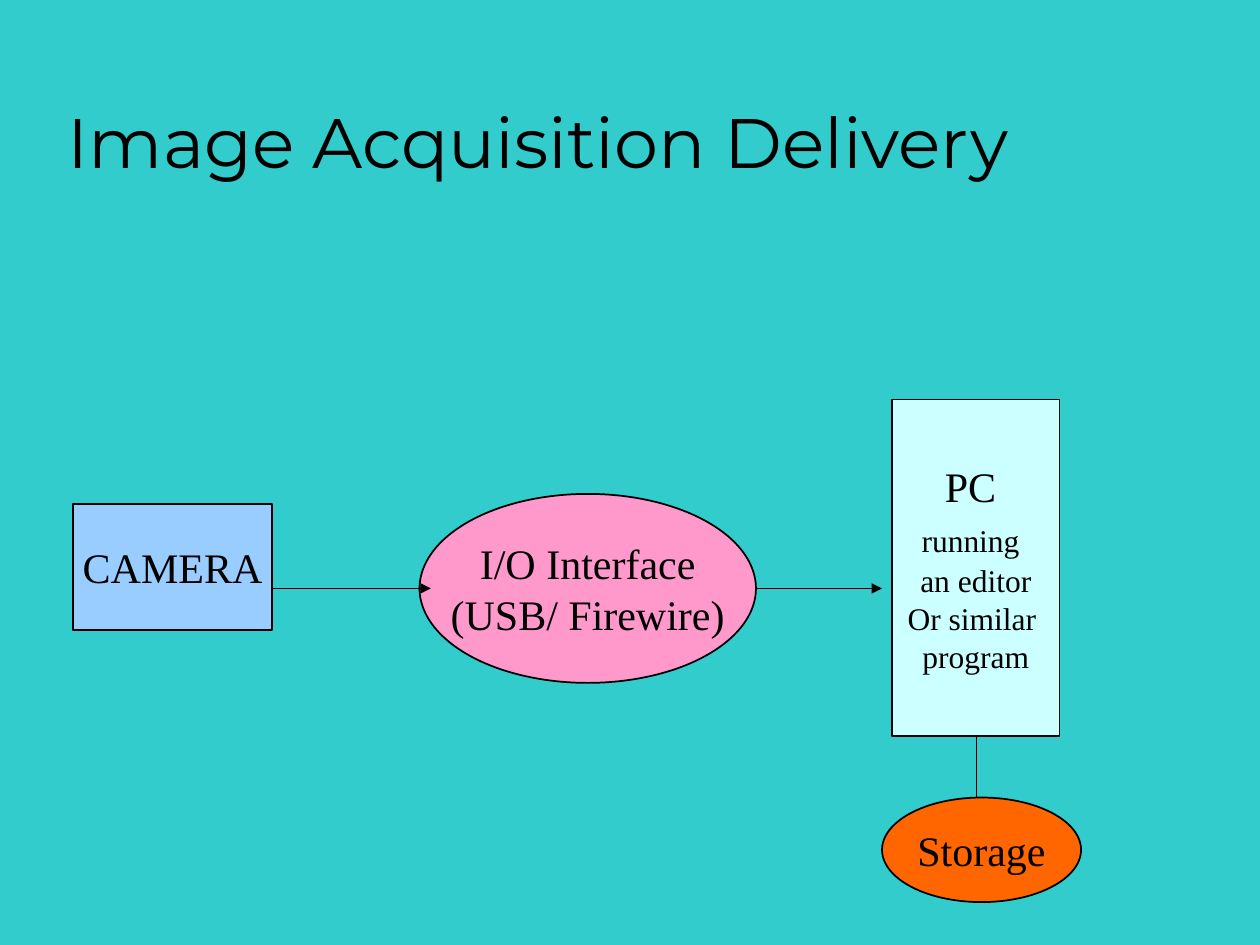
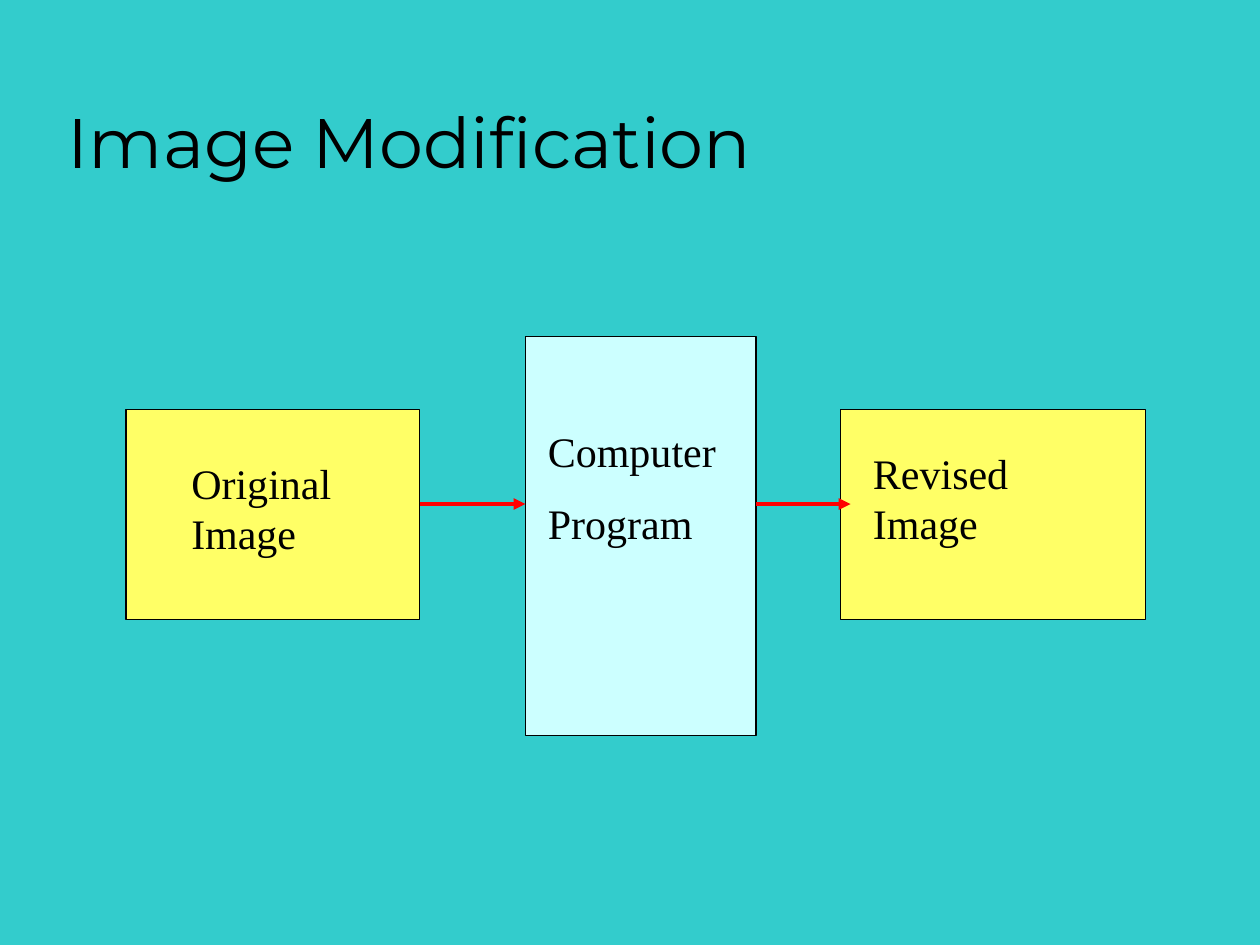
from lxml import etree
from pptx import Presentation
from pptx import util as u
from pptx.dml.color import RGBColor
from pptx.enum import shapes, text
from pptx.oxml import ns

COLORS = {
    "background": "33CCCC", "ink": "000000", "camera": "99CCFF", "computer": "CCFFFF",
    "interface": "FF99CC", "storage": "FF6600", "image": "FFFF66", "flow": "FF0000",
}
TITLE_FONT, BODY_FONT = "Montserrat", "Times New Roman"
TITLE_BOX = (0.44, 0.25, 8.5, 1.25)
RECT, OVAL = shapes.MSO_SHAPE.RECTANGLE, shapes.MSO_SHAPE.OVAL

# Content: text is a list of paragraphs, each a list of (words, size) runs
# Nodes: preset, box, fill, paragraphs; links: start, end, arrowhead; labels: box, paragraphs
SLIDES = [
    {
        "title": "Image Acquisition Delivery",
        "outline": 1, "link": ("ink", 1),
        "nodes": [
            (RECT, (0.58, 4, 1.58, 1), "camera", [[("CAMERA", 24)]]),
            (RECT, (7.08, 3.17, 1.33, 2.67), "computer", [
                [("PC ", 24)], [("running", 18), (" ", 24)], [("an editor", 18)],
                [("Or similar ", 18)], [("program", 18)]]),
            (OVAL, (3.33, 3.92, 2.67, 1.5), "interface",
             [[("I/O Interface", 24)], [("(USB/ Firewire)", 24)]]),
            (OVAL, (7, 6.33, 1.58, 0.83), "storage", [[("Storage", 24)]]),
        ],
        "links": [((2.17, 4.67), (3.42, 4.67), True), ((6, 4.67), (7, 4.67), True),
                  ((7.75, 5.83), (7.75, 6.33), False)],
        "labels": [],
    },
    {
        "title": "Image Modification",
        "outline": 0.75, "link": ("flow", 2.25),
        "nodes": [
            (RECT, (1, 3.25, 2.33, 1.67), "image", []),
            (RECT, (4.17, 2.67, 1.83, 3.17), "computer", []),
            (RECT, (6.67, 3.25, 2.42, 1.67), "image", []),
        ],
        "links": [((3.33, 4), (4.17, 4), True), ((6, 4), (6.75, 4), True)],
        "labels": [
            ((1.42, 3.58, 2, 0.9), [[("Original Image", 24)]]),
            ((6.83, 3.5, 2.08, 0.9), [[("Revised Image", 24)]]),
            ((4.25, 3.33, 1.67, 1.1), [[("Computer", 24)], [("Program", 24)]]),
        ],
    },
]


def color(name):
    return RGBColor.from_string(COLORS[name])


def inches(values):
    return [u.Inches(value) for value in values]


def write(frame, paragraphs, font=BODY_FONT, align=text.PP_ALIGN.LEFT, gap=0):
    for index, runs in enumerate(paragraphs):
        paragraph = frame.add_paragraph() if index else frame.paragraphs[0]
        paragraph.alignment = align
        if index and gap:
            paragraph.space_before = u.Pt(gap)
        for words, size in runs:
            run = paragraph.add_run()
            run.text = words
            run.font.name = font
            run.font.size = u.Pt(size)
            run.font.color.rgb = color("ink")


def add_label(slide, box, paragraphs, anchor=text.MSO_ANCHOR.TOP, **style):
    frame = slide.shapes.add_textbox(*inches(box)).text_frame
    frame.word_wrap = True
    frame.vertical_anchor = anchor
    write(frame, paragraphs, **style)


def add_node(slide, preset, box, fill, paragraphs, outline):
    shape = slide.shapes.add_shape(preset, *inches(box))
    shape.shadow.inherit = False
    shape.fill.solid()
    shape.fill.fore_color.rgb = color(fill)
    shape.line.color.rgb = color("ink")
    shape.line.width = u.Pt(outline)
    if paragraphs:
        frame = shape.text_frame
        frame.word_wrap = False
        frame.vertical_anchor = text.MSO_ANCHOR.MIDDLE
        write(frame, paragraphs, align=text.PP_ALIGN.CENTER)


def add_link(slide, start, end, arrow, line_color, width):
    link = slide.shapes.add_connector(shapes.MSO_CONNECTOR.STRAIGHT, *inches(start + end))
    link.line.color.rgb = color(line_color)
    link.line.width = u.Pt(width)
    if arrow:
        etree.SubElement(link.line._get_or_add_ln(), ns.qn("a:tailEnd"), type="triangle")
    etree.SubElement(link._element.spPr, ns.qn("a:effectLst"))


def main():
    presentation = Presentation()
    presentation.slide_width, presentation.slide_height = inches((10, 7.5))

    # Shared background
    background = presentation.slide_master.background.fill
    background.solid()
    background.fore_color.rgb = color("background")

    for content in SLIDES:
        slide = presentation.slides.add_slide(presentation.slide_layouts[6])
        add_label(slide, TITLE_BOX, [[(content["title"], 40)]],
                  anchor=text.MSO_ANCHOR.BOTTOM, font=TITLE_FONT)
        for node in content["nodes"]:
            add_node(slide, *node, content["outline"])
        for link in content["links"]:
            add_link(slide, *link, *content["link"])
        for box, paragraphs in content["labels"]:
            add_label(slide, box, paragraphs, gap=12)

    presentation.save("out.pptx")


if __name__ == "__main__":
    main()
